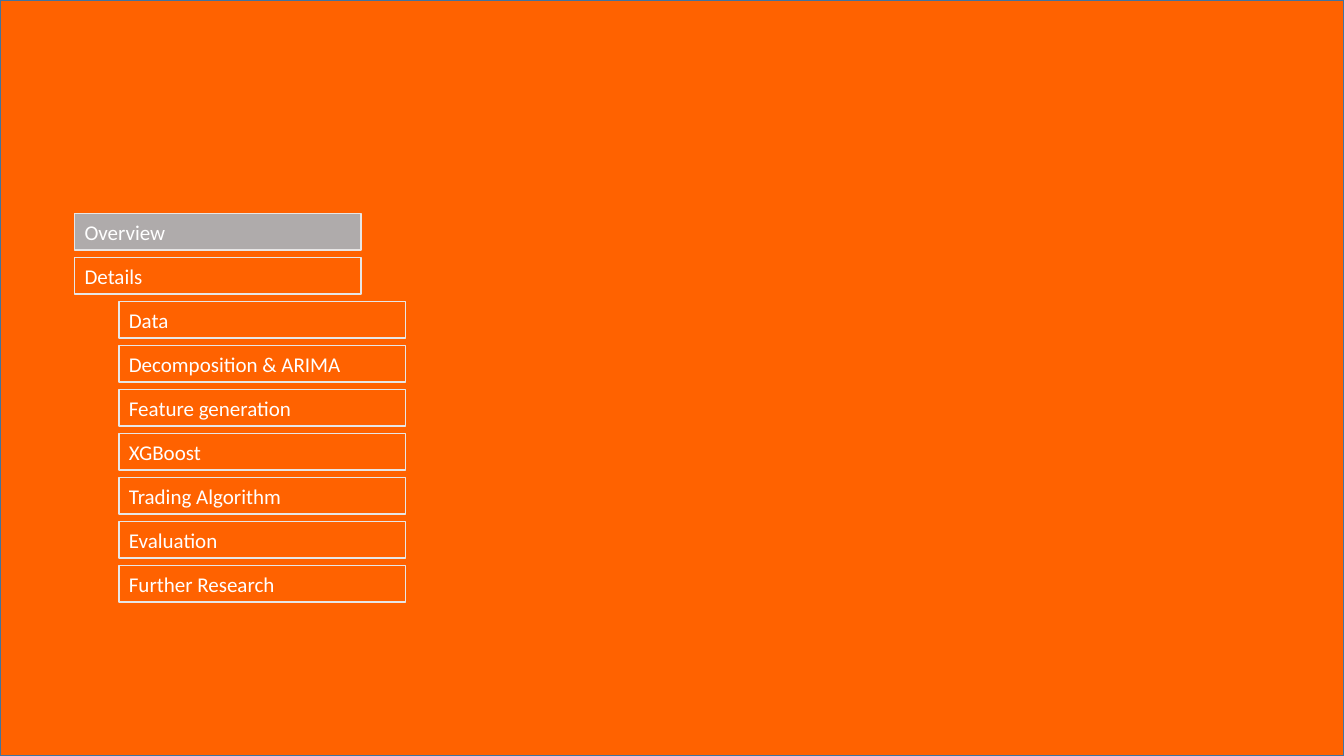
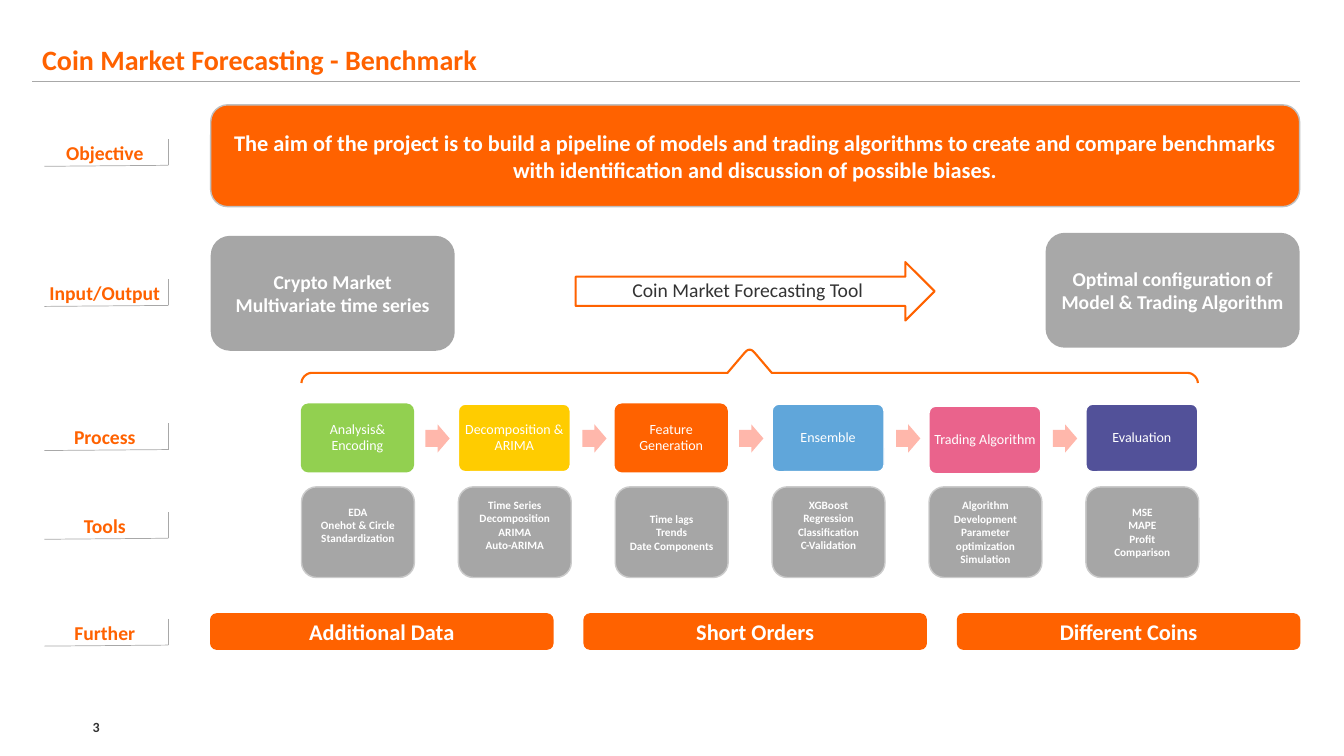
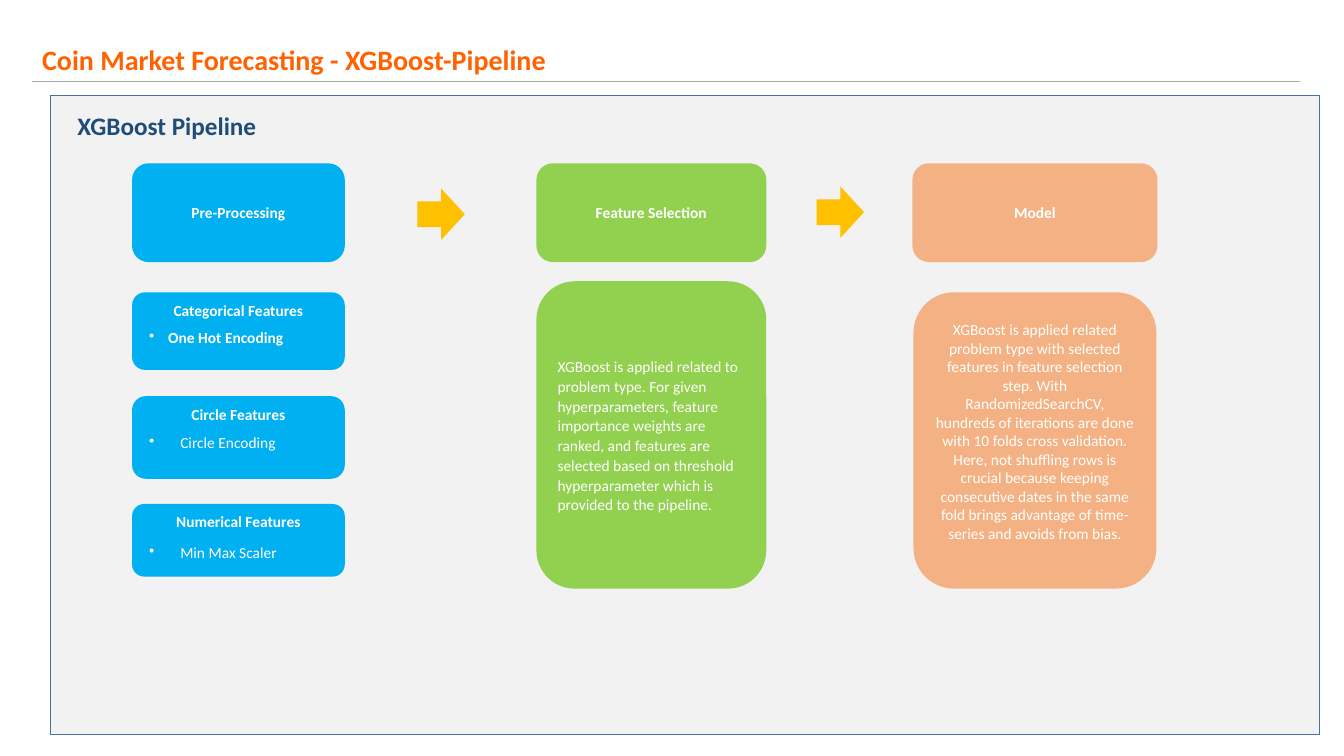
from lxml import etree
from pptx import Presentation
from pptx.dml.color import RGBColor
from pptx.enum.shapes import MSO_CONNECTOR, MSO_SHAPE
from pptx.enum.text import MSO_ANCHOR, PP_ALIGN
from pptx.oxml.ns import qn
from pptx.util import Emu, Inches, Pt

RECT, ROUND = MSO_SHAPE.RECTANGLE, MSO_SHAPE.ROUNDED_RECTANGLE
ARROW, LINE = MSO_SHAPE.RIGHT_ARROW, MSO_CONNECTOR.STRAIGHT
LEFT, CENTER = PP_ALIGN.LEFT, PP_ALIGN.CENTER
TOP, MIDDLE = MSO_ANCHOR.TOP, MSO_ANCHOR.MIDDLE

W, H = 13.33, 7.5
FONT = "Calibri"
C = {
    "orange": "FF6200", "bracket": "FF6600", "white": "FFFFFF", "dark": "333333",
    "active": "AFABAB", "menu_line": "E7E6E6", "rule": "A8A8A8", "grey": "A6A6A6",
    "tool_line": "CBCBCB", "goal_line": "BFBFBF", "frame": "43739E", "panel": "F2F2F2",
    "navy": "1F4D78", "green": "92D050", "yellow": "FFCC00", "sky": "60A6DA",
    "rose": "EA638C", "indigo": "525199", "blush": "FFB7AB", "blue": "00B0F0",
    "peach": "F4B183", "amber": "FFC000",
}
MENU = [("Overview", 0), ("Details", 0), ("Data", 1), ("Decomposition & ARIMA", 1),
        ("Feature generation", 1), ("XGBoost", 1), ("Trading Algorithm", 1),
        ("Evaluation", 1), ("Further Research", 1)]
STEPS = [
    ("Analysis& Encoding", "green", "green", "EDA\nOnehot & Circle\nStandardization", True),
    ("Decomposition & ARIMA", "yellow", "white",
     "Time Series\nDecomposition\nARIMA\nAuto-ARIMA", True),
    ("Feature Generation", "orange", "orange", "Time lags\nTrends\nDate Components", False),
    ("Ensemble", "sky", "white", "XGBoost\nRegression\nClassification\nC-Validation", True),
    ("Trading Algorithm", "rose", "white",
     "Algorithm Development\nParameter optimization\nSimulation", False),
    ("Evaluation", "indigo", "white", "MSE\nMAPE\nProfit Comparison", False),
]
ROWS = [("Objective", 1.51), ("Input/Output", 2.9), ("Process", 4.33),
        ("Tools", 5.21), ("Further", 6.27)]
GOAL = ("The aim of the project is to build a pipeline of models and trading algorithms to "
        "create and compare benchmarks with identification and discussion of possible biases.")
SELECTION = ("XGBoost is applied related to problem type. For given hyperparameters, feature "
             "importance weights are ranked, and features are selected based on threshold "
             "hyperparameter which is provided to the pipeline.")
MODEL = ("XGBoost is applied related problem type with selected features in feature selection "
         "step. With RandomizedSearchCV, hundreds of iterations are done with 10 folds cross "
         "validation. Here, not shuffling rows is crucial because keeping consecutive dates in "
         "the same fold brings advantage of time-series and avoids from bias.")
FEATURES = [("Categorical Features", "One Hot Encoding", 2.9, 0.77, 0.31, 0.19, True),
            ("Circle Features", "Circle Encoding", 3.93, 0.82, 0.32, 0.31, False),
            ("Numerical Features", "Min Max Scaler", 5, 0.72, 0.34, 0.31, False)]


def rgb(name):
    """Return a palette colour."""
    return RGBColor.from_string(C[name])


def write(sp, text, size, color="white", bold=False, align=CENTER, anchor=MIDDLE,
          spacing=None, after=None, inset=(0.1, 0.05, 0.1, 0.05)):
    """Fill a shape with text in one style."""
    tf = sp.text_frame
    tf.word_wrap = True
    tf.vertical_anchor = anchor
    tf.margin_left, tf.margin_top, tf.margin_right, tf.margin_bottom = map(Inches, inset)
    tf.text = text
    for p in tf.paragraphs:
        p.alignment = align
        if spacing:
            p.line_spacing = spacing
        if after:
            p.space_after = after
        for r in p.runs:
            r.font.name, r.font.size, r.font.bold = FONT, Pt(size), bold
            r.font.color.rgb = rgb(color)


def block(s, kind, box, fill, line=None, width=1, adj=()):
    """Add a flat preset shape."""
    sp = s.shapes.add_shape(kind, *map(Inches, box))
    sp.shadow.inherit = False
    sp.fill.solid()
    sp.fill.fore_color.rgb = rgb(fill)
    if line:
        sp.line.color.rgb = rgb(line)
        sp.line.width = Pt(width)
    else:
        sp.line.fill.background()
    for i, value in enumerate(adj):
        sp.adjustments[i] = value
    return sp


def label(s, box, text, size, color, **style):
    """Add a text box."""
    sp = s.shapes.add_textbox(*map(Inches, box))
    write(sp, text, size, color, **style)
    return sp


def rule(s, x1, y1, x2, y2, width):
    """Add a thin grey line."""
    sp = s.shapes.add_connector(LINE, *map(Inches, (x1, y1, x2, y2)))
    sp.line.color.rgb = rgb("rule")
    sp.line.width = Pt(width)
    etree.SubElement(sp._element.spPr, qn("a:effectLst"))


def bullet(sp, indent):
    """Give the first paragraph a hanging bullet."""
    pPr = sp.text_frame.paragraphs[0]._p.get_or_add_pPr()
    pPr.set("marL", str(Inches(indent)))
    pPr.set("indent", str(-Inches(indent)))
    etree.SubElement(pPr, qn("a:buChar")).set("char", "•")


def title(s, text):
    """Add the underlined slide title."""
    label(s, (0.32, 0.32, 11.17, 0.49), text, 20, "orange", bold=True, align=LEFT,
          anchor=TOP, spacing=Pt(28))
    rule(s, 0.32, 0.81, 12.89, 0.81, 1)


def menu(s, box, active):
    """Stack the agenda entries in a box."""
    x, y, w, h = box
    pitch = h / len(MENU)
    for i, (text, level) in enumerate(MENU):
        sp = block(s, RECT, (x + 0.44 * level, y + i * pitch, w, 0.36),
                   "active" if text == active else "orange", "menu_line")
        write(sp, text, 15, align=LEFT)


def row_label(s, x, cy, w, text):
    """Add a row heading with its corner line."""
    label(s, (x, cy - 0.17, w, 0.35), text, 14, "orange", bold=True, spacing=Pt(17))
    right = x + w - 0.09
    rule(s, right, cy - 0.13, right, cy + 0.13, 0.5)
    rule(s, right, cy + 0.13, x + 0.12, cy + 0.14, 0.5)


def curve(p0, p1, p2, p3, n=12):
    """Sample a cubic curve."""
    ts = [i / n for i in range(n + 1)]
    return [tuple((1 - t) ** 3 * a + 3 * t * (1 - t) ** 2 * b + 3 * t * t * (1 - t) * c
                  + t ** 3 * d for a, b, c, d in zip(p0, p1, p2, p3)) for t in ts]


def bracket(s, box):
    """Draw a brace that points up from the bottom of a box."""
    x, y, w, h = box
    mid, arm, end = x + w / 2, y + 0.23, y + h
    half = curve((x, end), (x, end - 0.05), (x + 0.05, arm), (x + 0.1, arm))
    half += [(mid - 0.22, arm)]
    half += curve((mid - 0.05, y + 0.03), (mid - 0.03, y + 0.01), (mid - 0.02, y), (mid, y))
    pts = half + [(2 * mid - px, py) for px, py in reversed(half)]
    pts = [(Inches(px), Inches(py)) for px, py in pts]
    fb = s.shapes.build_freeform(*pts[0])
    fb.add_line_segments(pts[1:], close=False)
    sp = fb.convert_to_shape(Emu(0), Emu(0))
    sp.shadow.inherit = False
    sp.fill.background()
    sp.line.color.rgb = rgb("bracket")
    sp.line.width = Pt(1.5)


def process(s, box):
    """Lay out the steps, the arrows between them and their tools."""
    x, y, w, h = box
    card = 1.11
    pitch = (w - card) / (len(STEPS) - 1)
    for i, (text, fill, line, tools, raised) in enumerate(STEPS):
        left = x + i * pitch
        top = y + 0.02 * (text == "Trading Algorithm")
        sp = block(s, ROUND, (left, top, card, 0.67), fill, line, adj=[0.1])
        write(sp, text, 10, spacing=0.9, inset=(0.03,) * 4)
        if i < len(STEPS) - 1:
            block(s, ARROW, (left + 1.23, y + 0.2, 0.24, 0.28), "blush", adj=[0.6, 0.5])
        sp = block(s, ROUND, (left, y + h - 0.9, 1.12, 0.9), "grey", "tool_line")
        write(sp, tools, 8, bold=True, inset=(0.1, 0.05, 0.1, 0.19 if raised else 0.05))


def input_output(s, box):
    """Place the input, the tool arrow and the output."""
    x, y, w, h = box
    sp = block(s, ROUND, (x, y + 0.03, 2.42, h), "grey")
    write(sp, "Crypto Market Multivariate time series", 14, bold=True)
    sp = block(s, ROUND, (x + w - 2.52, y, 2.52, h), "rule")
    write(sp, "Optimal configuration of Model & Trading Algorithm", 14, bold=True)
    sp = block(s, ARROW, (x + 3.62, y + 0.29, 3.56, 0.58), "white", "orange", 1.5)
    write(sp, "Coin Market Forecasting Tool", 14, "dark", anchor=TOP, spacing=0.9,
          inset=(0.04,) * 4)


def further(s, box):
    """Spread the next topics evenly over a box."""
    x, y, w, h = box
    topics = ["Additional Data", "Short Orders", "Different Coins"]
    gap = 0.31
    col = (w - gap * (len(topics) - 1)) / len(topics)
    for i, text in enumerate(topics):
        sp = block(s, ROUND, (x + i * (col + gap), y, col, h), "orange", "orange")
        write(sp, text, 16, bold=True)


def pipeline_column(s, box, fill, head, body=None, body_box=None, **style):
    """Add a stage header and its explanation."""
    write(block(s, ROUND, box, fill), head, 11, bold=True)
    if body:
        write(block(s, ROUND, body_box, fill), body, 11, **style)


def feature_card(s, box, head, item, dy, indent, bold):
    """Add a feature group with one bulleted method."""
    x, y, w, h = box
    write(block(s, ROUND, box, "blue"), head, 11, bold=True, anchor=TOP)
    sp = label(s, (x + 0.07, y + dy, w - 0.07, 0.35), item, 11, "white", bold=bold,
               align=LEFT, anchor=TOP)
    bullet(sp, indent)


def agenda_slide(s):
    """Build the agenda."""
    block(s, RECT, (0, 0, W, H), "orange", "frame")
    menu(s, (0.74, 2.12, 2.84, 3.93), "Overview")


def benchmark_slide(s):
    """Build the project overview."""
    x, w = 2.09, 10.8
    title(s, "Coin Market Forecasting - Benchmark")
    for text, cy in ROWS:
        row_label(s, 0.32, cy, 1.44, text)
    sp = block(s, ROUND, (x, 1.04, w, 1.01), "orange", "goal_line")
    write(sp, GOAL, 16, bold=True)
    input_output(s, (x, 2.31, w, 1.14))
    bracket(s, (2.99, 3.47, 8.89, 0.33))
    process(s, (2.99, 4.01, 8.89, 1.72))
    further(s, (x, 6.09, w, 0.35))
    label(s, (0.92, 7.11, 0.54, 0.21), "3", 10, "dark", bold=True, align=LEFT,
          inset=(0,) * 4)


def pipeline_slide(s):
    """Build the pipeline view."""
    block(s, RECT, (0.5, 0.95, 12.59, 6.34), "panel", "frame")
    title(s, "Coin Market Forecasting - XGBoost-Pipeline")
    label(s, (0.67, 1.02, 3.5, 0.43), "XGBoost Pipeline", 18, "navy", bold=True,
          align=LEFT, anchor=TOP, spacing=1.07)
    top, h = 1.62, 0.98
    pipeline_column(s, (1.31, top, 2.11, h), "blue", "Pre-Processing")
    pipeline_column(s, (5.32, top, 2.28, h), "green", "Feature Selection", SELECTION,
                    (5.32, 2.79, 2.28, 3.05), align=LEFT, spacing=1.07, after=Pt(8))
    pipeline_column(s, (9.05, top, 2.43, h), "peach", "Model", MODEL,
                    (9.06, 2.9, 2.41, 2.94), inset=(0.1, 0.05, 0.1, 0.23))
    for x, y in [(4.14, 1.87), (8.1, 1.85)]:
        block(s, ARROW, (x, y, 0.47, 0.51), "amber")
    for head, item, y, height, dy, indent, bold in FEATURES:
        feature_card(s, (1.31, y, 2.11, height), head, item, dy, indent, bold)


def main():
    """Build and save the deck."""
    prs = Presentation()
    prs.slide_width, prs.slide_height = Inches(W), Inches(H)
    for build in (agenda_slide, benchmark_slide, pipeline_slide):
        build(prs.slides.add_slide(prs.slide_layouts[6]))
    prs.save("out.pptx")


if __name__ == "__main__":
    main()
